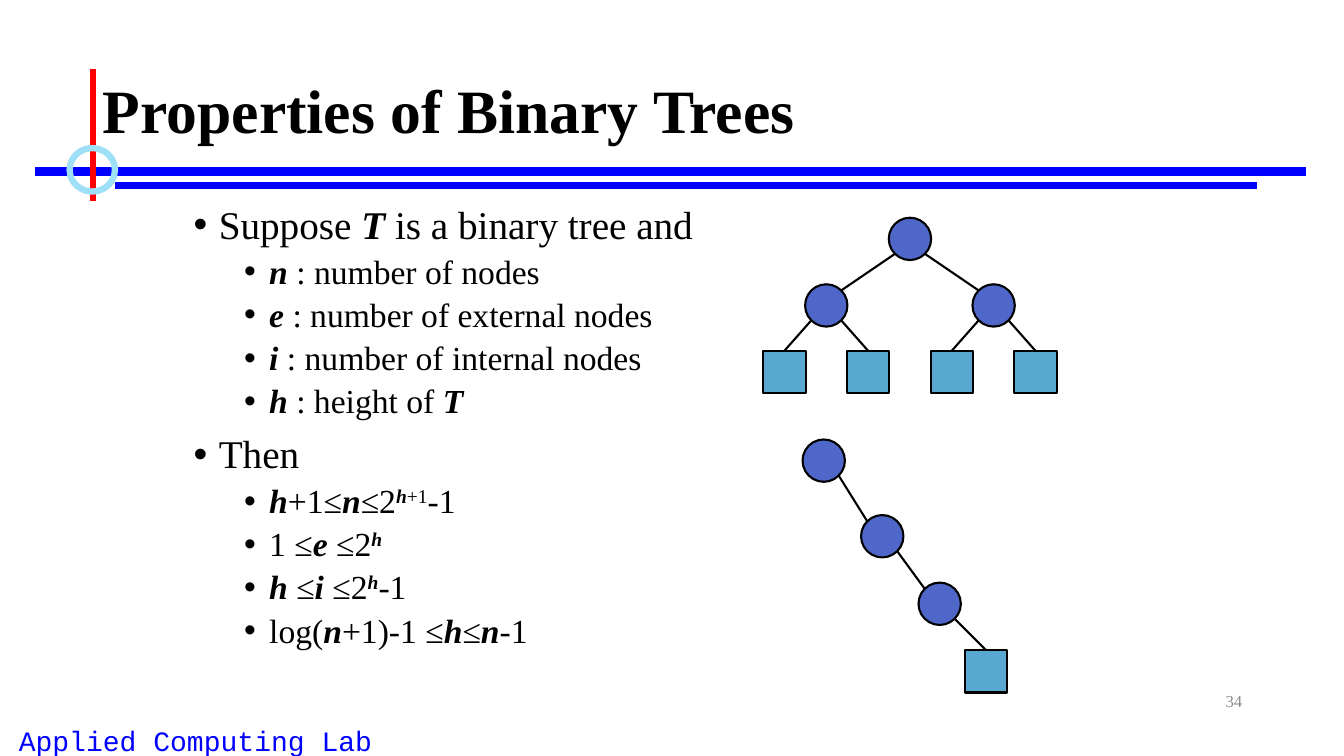
from pptx import Presentation
from pptx.dml.color import RGBColor
from pptx.enum.shapes import MSO_CONNECTOR, MSO_SHAPE
from pptx.enum.text import MSO_ANCHOR, MSO_AUTO_SIZE, PP_ALIGN
from pptx.util import Inches, Pt
from lxml.etree import SubElement
from pptx.oxml.ns import qn
from math import sqrt

# Content: *bold italic*, ^superscript^
TITLE = "Properties of Binary Trees"
LAB = "Applied Computing Lab"
PAGE = "34"
BODY = [
    (0, "Suppose *T* is a binary tree and"),
    (1, "*n *: number of nodes"),
    (1, "*e *: number of external nodes"),
    (1, "*i* : number of internal nodes"),
    (1, "*h* : height of *T*"),
    (0, "Then"),
    (1, "*h*+1≤*n*≤2^*h*+1^-1"),
    (1, "1 ≤*e* ≤2^*h*^"),
    (1, "*h* ≤*i *≤2^*h*^-1"),
    (1, "log(*n*+1)-1 ≤*h*≤*n*-1"),
]
LEVELS = [dict(size=28, indent=0.25, before=10), dict(size=24, indent=0.75, before=5)]

# Trees: node centres, and the index of each node's parent
LEAF_STEP, LEVEL_STEP, LEFT_LEAF, ROOT_Y = 0.83, 0.66, 7.78, 2.37
FULL_TREE = [(LEFT_LEAF + column * LEAF_STEP, ROOT_Y + level * LEVEL_STEP)
             for level, columns in enumerate([(1.5,), (0.5, 2.5), range(4)])
             for column in columns]
FULL_PARENTS = [(child - 1) // 2 for child in range(len(FULL_TREE))]
CHAIN = [(8.17, 4.57), (8.75, 5.32), (9.32, 5.99), (9.78, 6.66)]
CHAIN_PARENTS = [child - 1 for child in range(len(CHAIN))]
NODE = 0.42
DIAGONAL = NODE / 2 / sqrt(2)

# Rules: start, end, colour, width
RULES = [
    ((0.35, 1.7), (12.95, 1.7), "0000FF", 6),
    ((1.14, 1.84), (12.47, 1.84), "0000FF", 4.5),
    ((0.92, 0.68), (0.92, 1.99), "FF0000", 4.5),
]
SERIF = "Times New Roman"

deck = Presentation()
deck.slide_width, deck.slide_height = Inches(13.33), Inches(7.5)
slide = deck.slides.add_slide(deck.slide_layouts[1])
shapes = slide.shapes


def paint(color_format, color):
    color_format.rgb = RGBColor.from_string(color)


def place(holder, left, top, width, height):
    holder.left, holder.top = Inches(left), Inches(top)
    holder.width, holder.height = Inches(width), Inches(height)


def add_run(paragraph, text, size, color="000000", face=SERIF, bold=False, italic=False):
    run = paragraph.add_run()
    run.text = text
    run.font.name, run.font.size = face, Pt(size)
    run.font.bold, run.font.italic = bold, italic
    paint(run.font.color, color)
    return run


def add_line(start, end, color="000000", width=1.5):
    line = shapes.add_connector(MSO_CONNECTOR.STRAIGHT, *map(Inches, start + end))
    paint(line.line.color, color)
    line.line.width = Pt(width)
    SubElement(line._element.spPr, qn("a:effectLst"))
    return line


def add_figure(kind, left, top, width, height, fill, outline, weight):
    figure = shapes.add_shape(kind, *map(Inches, (left, top, width, height)))
    figure.shadow.inherit = False
    if fill:
        figure.fill.solid()
        paint(figure.fill.fore_color, fill)
    else:
        figure.fill.background()
    paint(figure.line.color, outline)
    figure.line.width = Pt(weight)
    return figure


def add_label(text, box, align, anchor, **style):
    frame = shapes.add_textbox(*map(Inches, box)).text_frame
    frame.word_wrap, frame.vertical_anchor = True, anchor
    frame.paragraphs[0].alignment = align
    add_run(frame.paragraphs[0], text, **style)


def add_tree(centres, parents):
    nodes = []
    for index, (x, y) in enumerate(centres):
        internal = index in parents[1:]
        nodes.append(add_figure(
            MSO_SHAPE.OVAL if internal else MSO_SHAPE.RECTANGLE,
            x - NODE / 2, y - NODE / 2, NODE, NODE,
            "4E67C8" if internal else "59A8D1", "000000", 1.5))
    for index in range(1, len(centres)):
        (x, y), (parent_x, parent_y) = centres[index], centres[parents[index]]
        offset = DIAGONAL if x > parent_x else -DIAGONAL
        edge = add_line((parent_x + offset, parent_y + DIAGONAL),
                        (x - offset, y - DIAGONAL))
        if index not in parents:
            edge.end_connect(nodes[index], 0)


# Title
title = shapes.title
place(title, 0.92, 0.4, 11.5, 1.45)
title.text_frame.vertical_anchor = MSO_ANCHOR.MIDDLE
title.text_frame.auto_size = MSO_AUTO_SIZE.NONE
heading = title.text_frame.paragraphs[0]
heading.alignment, heading.line_spacing = PP_ALIGN.LEFT, 0.9
add_run(heading, TITLE, 44, bold=True)

# Bulleted properties
body = slide.placeholders[1]
place(body, 1.82, 1.99, 5.3, 4.76)
body.text_frame.auto_size = MSO_AUTO_SIZE.NONE
for number, (level, marked) in enumerate(BODY):
    look = LEVELS[level]
    item = body.text_frame.add_paragraph() if number else body.text_frame.paragraphs[0]
    item.level, item.line_spacing = level, 0.9
    item.space_before = Pt(look["before"] if number else 0)
    properties = item._p.get_or_add_pPr()
    properties.set("marL", str(Inches(look["indent"])))
    properties.set("indent", str(Inches(-0.25)))
    SubElement(properties, qn("a:buFont"), typeface="Arial")
    SubElement(properties, qn("a:buChar"), char="•")
    for raised, section in enumerate(marked.split("^")):
        for strong, words in enumerate(section.split("*")):
            if words:
                variable = strong % 2 == 1
                run = add_run(item, words, look["size"], bold=variable, italic=variable)
                if raised % 2:
                    run.font._element.set("baseline", "30000")

# Rules and ring around the title
for rule in RULES:
    add_line(*rule)
add_figure(MSO_SHAPE.OVAL, 0.69, 1.47, 0.45, 0.43, None, "9EE0F8", 4.5)

# Full tree and chain
add_tree(FULL_TREE, FULL_PARENTS)
add_tree(CHAIN, CHAIN_PARENTS)

# Footer
add_label(LAB, (-0.58, 7.13, 5.04, 0.43), PP_ALIGN.CENTER, MSO_ANCHOR.TOP,
          size=20, color="0000FF", face="Courier New")
add_label(PAGE, (9.42, 6.75, 3, 0.4), PP_ALIGN.RIGHT, MSO_ANCHOR.MIDDLE,
          size=12, color="8C8C8C")

deck.save("out.pptx")
